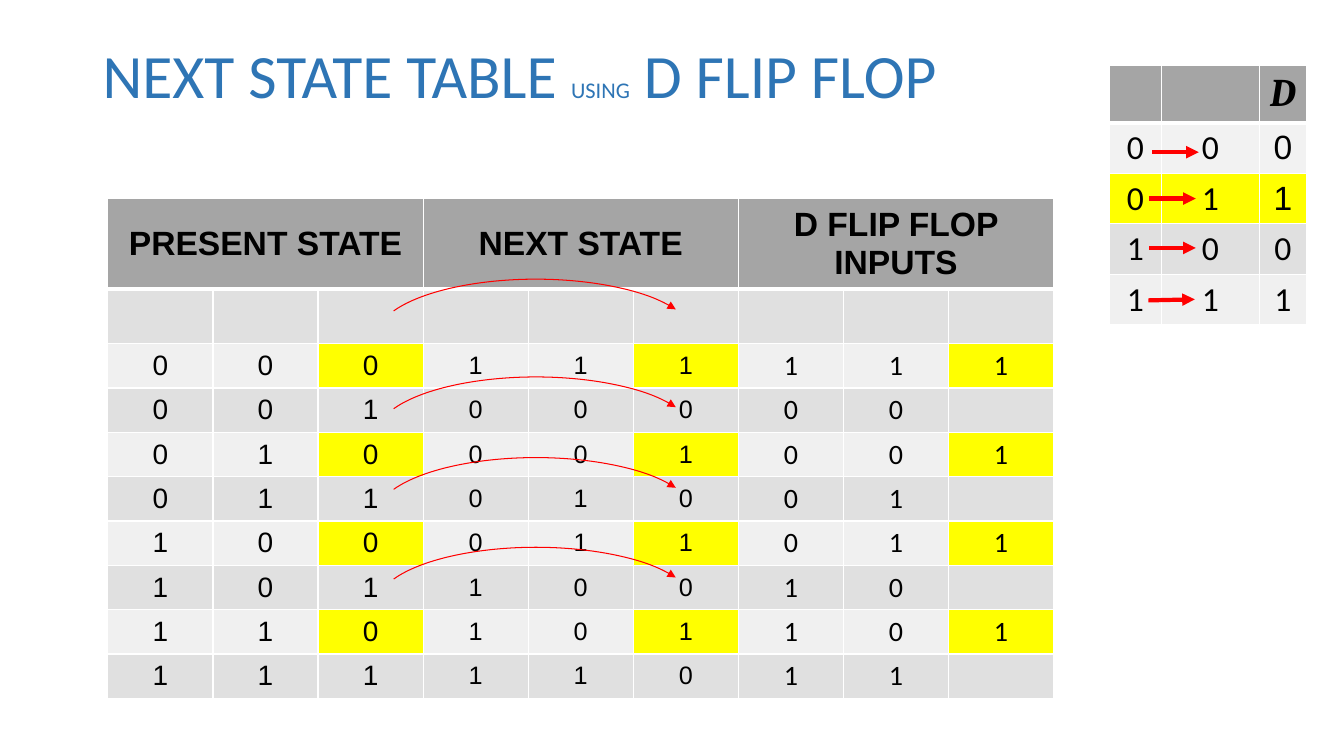
from lxml import etree
from pptx import Presentation
from pptx.dml.color import RGBColor
from pptx.enum.shapes import MSO_CONNECTOR, MSO_SHAPE
from pptx.enum.text import MSO_ANCHOR, PP_ALIGN
from pptx.oxml.ns import qn
from pptx.util import Inches, Pt

STRAIGHT = MSO_CONNECTOR.STRAIGHT
ARC = MSO_SHAPE.ARC
TOP, MIDDLE = MSO_ANCHOR.TOP, MSO_ANCHOR.MIDDLE
CENTER = PP_ALIGN.CENTER

BLACK, WHITE, RED, BLUE = "000000", "FFFFFF", "FF0000", "2E75B5"
HEADER, YELLOW = "A5A5A5", "FFFF00"
LIGHT, BAND, PALE = "F0F0F0", "E0E0E0", "F2F2F2"

# Each row: present state, next state, flip flop inputs ("-" is an empty cell)
STATE_ROWS = [
    "000111111", "00100000-", "010001001", "01101001-",
    "100011011", "10110010-", "110101101", "11111011-",
]
EXCITATION_ROWS = [("000", PALE), ("011", YELLOW), ("100", BAND), ("111", LIGHT)]


def color(value):
    return RGBColor.from_string(value)


def style_font(font, size, name, value, bold=False, italic=False):
    font.size = Pt(size)
    font.name = name
    font.color.rgb = color(value)
    font.bold = bold
    font.italic = italic


def style_arrow(line, width):
    line.color.rgb = color(RED)
    line.width = Pt(width)
    properties = line._get_or_add_ln()
    etree.SubElement(properties, qn("a:tailEnd"), type="triangle")


def add_cell_borders(cell, row):
    """White grid, with a thicker rule under the header row."""
    properties = cell._tc.get_or_add_tcPr()
    widths = {"lnL": 1, "lnR": 1, "lnT": 3 if row == 1 else 1, "lnB": 3 if row == 0 else 1}
    for tag, width in widths.items():
        border = etree.SubElement(properties, qn("a:" + tag), w=str(Pt(width)))
        fill = etree.SubElement(border, qn("a:solidFill"))
        etree.SubElement(fill, qn("a:srgbClr"), val=WHITE)


def fill_cell(cell, fill):
    cell.fill.solid()
    cell.fill.fore_color.rgb = color(fill)


def write_cell(cell, text, size, name, bold=False, italic=False):
    cell.text_frame.text = text
    cell.vertical_anchor = MIDDLE
    paragraph = cell.text_frame.paragraphs[0]
    paragraph.alignment = CENTER
    style_font(paragraph.runs[0].font, size, name, BLACK, bold, italic)


def add_grid(slide, left, top, column_widths, row_heights):
    """Table with a white grid and a grey header row."""
    frame = slide.shapes.add_table(
        len(row_heights), len(column_widths), Inches(left), Inches(top),
        Inches(sum(column_widths)), Inches(sum(row_heights)))
    table = frame.table
    table.first_row = table.horz_banding = False
    for column, width in zip(table.columns, column_widths):
        column.width = Inches(width)
    for index, (row, height) in enumerate(zip(table.rows, row_heights)):
        row.height = Inches(height)
        for cell in row.cells:
            add_cell_borders(cell, index)
            fill_cell(cell, HEADER if index == 0 else BAND)
    return table


def add_title(slide, left, top, width, height):
    box = slide.shapes.add_textbox(Inches(left), Inches(top), Inches(width), Inches(height))
    frame = box.text_frame
    frame.word_wrap = True
    frame.vertical_anchor = TOP
    paragraph = frame.paragraphs[0]
    paragraph.line_spacing = 0.9
    for text, size in [("NEXT STATE TABLE ", 44), ("USING", 16), (" D FLIP FLOP", 44)]:
        run = paragraph.add_run()
        run.text = text
        style_font(run.font, size, "Calibri", BLUE)


def add_excitation_table(slide, left, top):
    table = add_grid(slide, left, top, [0.52, 0.97, 0.47], [0.57] + [0.5] * 4)
    write_cell(table.cell(0, 2), "D", 28, "Cambria", bold=True, italic=True)
    for row, (digits, fill) in enumerate(EXCITATION_ROWS, start=1):
        for column, digit in enumerate(digits):
            cell = table.cell(row, column)
            fill_cell(cell, fill)
            name = "Arial" if column == 2 and row <= 2 else "Calibri"
            write_cell(cell, digit, 24, name)

    # Transition arrows: start x, start y and end y from the table corner
    for start, begin_y, end_y in [(0.43, 0.86, 0.86), (0.4, 1.32, 1.32),
                                  (0.4, 1.81, 1.81), (0.39, 2.33, 2.32)]:
        arrow = slide.shapes.add_connector(
            STRAIGHT, Inches(left + start), Inches(top + begin_y),
            Inches(left + start + 0.46), Inches(top + end_y))
        style_arrow(arrow.line, 3)
        etree.SubElement(arrow._element.spPr, qn("a:effectLst"))


def add_state_table(slide, left, top, width):
    table = add_grid(slide, left, top, [width / 9] * 9, [0.84, 0.54] + [0.44] * 8)
    for group, heading in enumerate(["PRESENT STATE", "NEXT STATE", "D FLIP FLOP INPUTS"]):
        cell = table.cell(0, 3 * group)
        cell.merge(table.cell(0, 3 * group + 2))
        write_cell(cell, heading, 24, "Arial", bold=True)

    group_fonts = [(20, "Arial"), (18, "Arial"), (20, "Calibri")]
    for index, digits in enumerate(STATE_ROWS):
        for column, digit in enumerate(digits):
            cell = table.cell(index + 2, column)
            if index % 2 == 0:
                fill_cell(cell, YELLOW if column % 3 == 2 else LIGHT)
            if digit != "-":
                size, name = group_fonts[column // 3]
                write_cell(cell, digit, size, name)

    # Curved arrows from present to next state
    for offset in [0.8, 1.77, 2.57, 3.46]:
        arc = slide.shapes.add_shape(
            ARC, Inches(left + 2.66), Inches(top + offset), Inches(3.17), Inches(1.16))
        arc.adjustments[0] = 114.38
        arc.adjustments[1] = 209.15
        arc.shadow.inherit = False
        arc.fill.background()
        style_arrow(arc.line, 0.75)


def main():
    presentation = Presentation()
    presentation.slide_width = Inches(13.33)
    presentation.slide_height = Inches(7.5)
    slide = presentation.slides.add_slide(presentation.slide_layouts[6])
    add_title(slide, 0.92, 0.4, 11.5, 1.45)
    add_excitation_table(slide, 11, 0.65)
    add_state_table(slide, 1.07, 1.97, 9.38)
    presentation.save("out.pptx")


if __name__ == "__main__":
    main()
